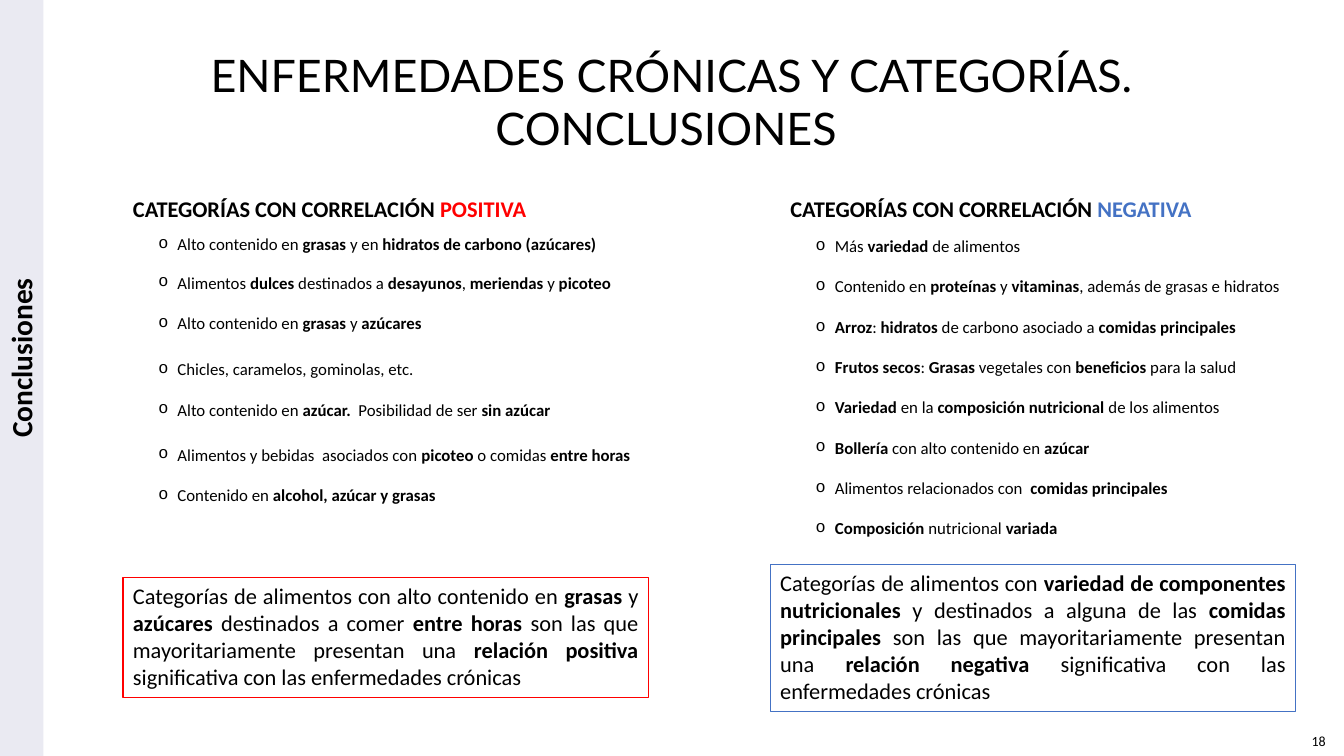
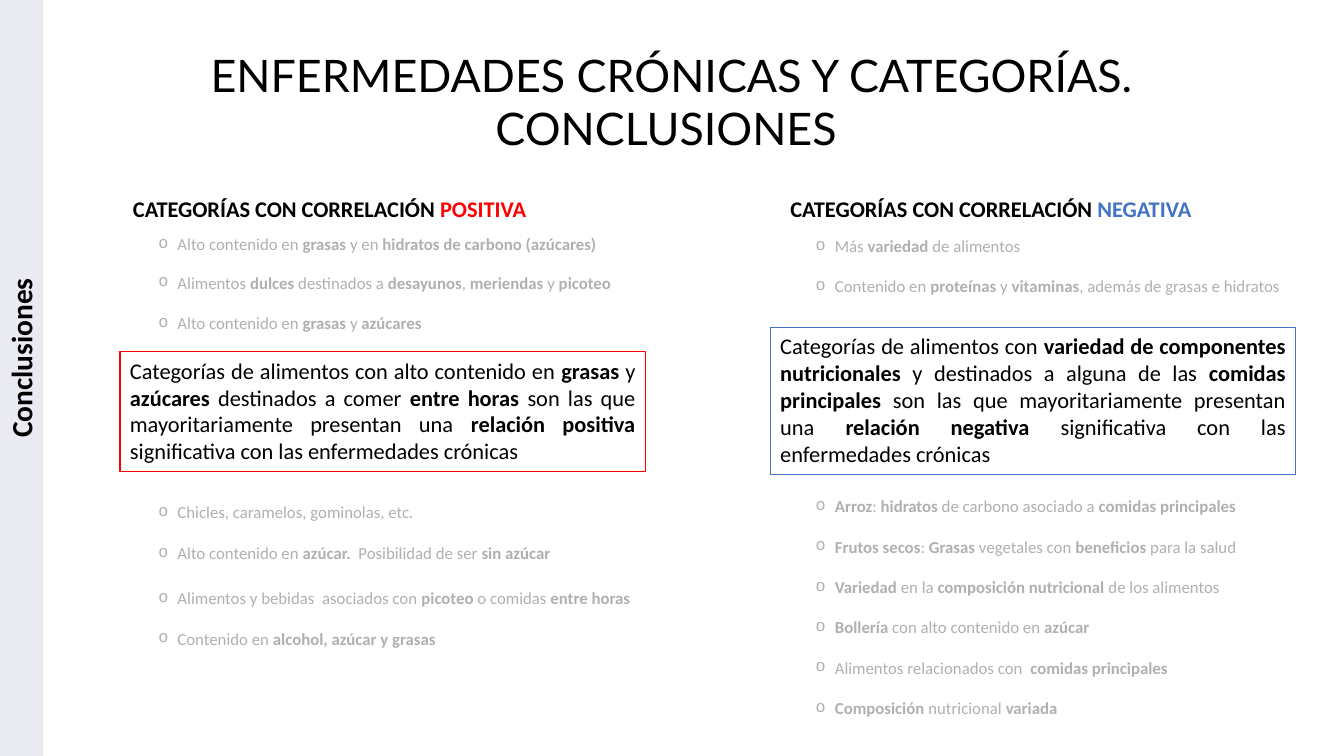
import dataclasses

import lxml.etree
import pptx
import pptx.dml.color
import pptx.enum.shapes
import pptx.enum.text
import pptx.oxml.ns
import pptx.util

Inches, Pt = pptx.util.Inches, pptx.util.Pt
Align = pptx.enum.text.PP_ALIGN
Anchor = pptx.enum.text.MSO_ANCHOR
qn = pptx.oxml.ns.qn


class Theme:
    font, title_font, bullet_font = "Calibri", "Lato", "Courier New"
    black, white, band = "000000", "FFFFFF", "EAEAF2"
    red, blue = "FF0000", "4472C4"
    title, side, heading, item, number = 32, 21, 16, 12, 10
    item_indent = 0.19
    item_line = 14.7
    veil_opacity = 69


@dataclasses.dataclass
class Column:
    """One side of the comparison; asterisks in its texts mark emphasis."""
    heading: str
    accent: str
    heading_left: float
    list_left: float
    list_width: float
    list_top: float
    lower_top: float  # second part of the list, when the summary divides it
    split: int  # first item of that second part
    items: list
    gaps: list  # points above each item
    summary: str
    summary_fill: str | None
    summary_line: float
    summary_height: float
    below: tuple
    inside: tuple


POSITIVE = Column(
    heading="CATEGORÍAS CON CORRELACIÓN *POSITIVA*",
    accent=Theme.red,
    heading_left=1.22,
    list_left=1.47,
    list_width=5.21,
    list_top=2.27,
    lower_top=4.93,
    split=3,
    items=[
        "Alto contenido en *grasas* y en *hidratos de carbono (azúcares)*",
        "Alimentos *dulces* destinados a *desayunos*, *meriendas* y *picoteo*",
        "Alto contenido en *grasas* y *azúcares*",
        "Chicles, caramelos, gominolas, etc.",
        "Alto contenido en *azúcar.*  Posibilidad de ser *sin azúcar*",
        "Alimentos y bebidas  asociados con *picoteo* o comidas *entre horas*",
        "Contenido en *alcohol, azúcar y grasas*",
    ],
    gaps=[0, 13, 14.6, 18.3, 14.6, 17.9, 14.6],
    summary="Categorías de alimentos con alto contenido en *grasas* y *azúcares* "
            "destinados a comer *entre horas *son las que mayoritariamente presentan "
            "una *relación positiva* significativa con las enfermedades crónicas",
    summary_fill=None,
    summary_line=0.75,
    summary_height=1.19,
    below=(1.22, 5.73),
    inside=(1.19, 3.49),
)

NEGATIVE = Column(
    heading="CATEGORÍAS CON CORRELACIÓN *NEGATIVA*",
    accent=Theme.blue,
    heading_left=7.74,
    list_left=7.99,
    list_width=5.01,
    list_top=2.29,
    lower_top=4.87,
    split=2,
    items=[
        "Más *variedad* de alimentos",
        "Contenido en *proteínas* y *vitaminas*, además de grasas e hidratos",
        "*Arroz*: *hidratos* de carbono asociado a *comidas principales*",
        "*Frutos secos*: *Grasas* vegetales con *beneficios* para la salud",
        "*Variedad* en la *composición nutricional* de los alimentos",
        "*Bollería* con alto contenido en *azúcar*",
        "Alimentos relacionados con  *comidas principales*",
        "*Composición* nutricional *variada*",
    ],
    gaps=[0] + [14.4] * 7,
    summary="Categorías de alimentos con *variedad de componentes nutricionales* y "
            "destinados a alguna de las *comidas principales *son las que "
            "mayoritariamente presentan una *relación negativa *significativa con "
            "las enfermedades crónicas",
    summary_fill=Theme.white,
    summary_line=1,
    summary_height=1.46,
    below=(7.64, 5.6),
    inside=(7.64, 3.25),
)


def rgb(color):
    return pptx.dml.color.RGBColor.from_string(color)


def style_run(r, size, color=Theme.black, bold=False, font=Theme.font):
    r.font.name, r.font.size, r.font.bold = font, Pt(size), bold
    r.font.color.rgb = rgb(color)


def add_marked_runs(p, text, size, bold=False, accent=Theme.black):
    """Split text at asterisks; every second piece is bold and in the accent."""
    for i, piece in enumerate(text.split("*")):
        if piece:
            marked = i % 2 == 1
            r = p.add_run()
            r.text = piece
            style_run(r, size, accent if marked else Theme.black, bold or marked)


def place(shape, left, top, width, height):
    shape.left, shape.top = Inches(left), Inches(top)
    shape.width, shape.height = Inches(width), Inches(height)


def prepare_frame(shape):
    tf = shape.text_frame
    tf.word_wrap = True
    tf.auto_size = pptx.enum.text.MSO_AUTO_SIZE.NONE
    tf.vertical_anchor = Anchor.TOP
    return tf


def add_label(s, box, align=Align.LEFT):
    """Add an empty text box and return it with its first paragraph."""
    shape = s.shapes.add_textbox(*map(Inches, box))
    p = prepare_frame(shape).paragraphs[0]
    p.alignment = align
    return shape, p


def add_rectangle(s, box, fill=None, line=None, line_width=1):
    shape = s.shapes.add_shape(
        pptx.enum.shapes.MSO_SHAPE.RECTANGLE, *map(Inches, box))
    shape.shadow.inherit = False
    if fill:
        shape.fill.solid()
        shape.fill.fore_color.rgb = rgb(fill)
    else:
        shape.fill.background()
    if line:
        shape.line.color.rgb = rgb(line)
        shape.line.width = Pt(line_width)
    else:
        shape.line.fill.background()
    return shape


def set_title(s, text):
    title = s.shapes.title
    place(title, 1.4, 0.42, 10.53, 1.18)
    tf = prepare_frame(title)
    tf.text = text
    for p in tf.paragraphs:
        p.alignment = Align.CENTER
        style_run(p.runs[0], Theme.title, font=Theme.title_font)


def add_side_band(s, text):
    add_rectangle(s, (0, 0, 0.43, 7.5), Theme.band)
    label, p = add_label(s, (-1.05, 3.29, 2.52, 0.46), Align.CENTER)
    label.rotation = 270
    p.text = text
    style_run(p.runs[0], Theme.side, bold=True)


def set_bullet(p):
    pPr = p._p.get_or_add_pPr()
    indent = Inches(Theme.item_indent)
    pPr.set("marL", str(indent))
    pPr.set("indent", str(-indent))
    lxml.etree.SubElement(pPr, qn("a:buFont")).set("typeface", Theme.bullet_font)
    lxml.etree.SubElement(pPr, qn("a:buChar")).set("char", "o")


def set_list_size(tf):
    """Give the list level the item size, so that bullets align with the text."""
    style = tf._txBody.find(qn("a:lstStyle"))
    level = lxml.etree.SubElement(style, qn("a:lvl1pPr"))
    size = lxml.etree.SubElement(level, qn("a:defRPr"))
    size.set("sz", str(Theme.item * 100))


def fill_list(body, column, top, start=0, stop=None):
    """Put a range of the column's items in a body just high enough for them."""
    items = column.items[start:stop]
    gaps = [0] + column.gaps[start:stop][1:]
    height = (sum(gaps) + len(items) * Theme.item_line) / 72 + 0.12
    place(body, column.list_left, top, column.list_width, round(height, 2))
    tf = prepare_frame(body)
    set_list_size(tf)
    for i, (item, gap) in enumerate(zip(items, gaps)):
        p = tf.paragraphs[0] if i == 0 else tf.add_paragraph()
        p.alignment = Align.LEFT
        p.space_before = Pt(gap)
        set_bullet(p)
        add_marked_runs(p, item, Theme.item)


def add_heading(s, column):
    _, p = add_label(s, (column.heading_left, 1.89, 4.39, 0.38))
    add_marked_runs(p, column.heading, Theme.heading, True, column.accent)


def add_veil(s):
    """Fade the lists with a translucent white rectangle."""
    veil = add_rectangle(s, (1.4, 2.29, 11.83, 4.98), Theme.white)
    color = veil.fill._xPr.find(qn("a:solidFill"))[0]
    alpha = lxml.etree.SubElement(color, qn("a:alpha"))
    alpha.set("val", str(Theme.veil_opacity * 1000))


def add_summary(s, column, position):
    box = add_rectangle(s, (*position, 5.21, column.summary_height),
                        column.summary_fill, column.accent, column.summary_line)
    p = prepare_frame(box).paragraphs[0]
    p.alignment = Align.JUSTIFY
    add_marked_runs(p, column.summary, Theme.heading)


def add_page_number(s, number):
    _, p = add_label(s, (12.91, 7.22, 0.41, 0.28))
    p.text = number
    style_run(p.runs[0], Theme.number)


def add_conclusions(prs, divided):
    """Add a slide; divided puts the summaries between two parts of faded lists."""
    layout = "Comparison" if divided else "Two Content"
    s = prs.slides.add_slide(prs.slide_layouts.get_by_name(layout))
    columns = (POSITIVE, NEGATIVE)
    set_title(s, "ENFERMEDADES CRÓNICAS Y CATEGORÍAS.\nCONCLUSIONES ")
    add_side_band(s, "Conclusiones ")
    for i, column in enumerate(columns):
        add_heading(s, column)
        if divided:
            upper, lower = (s.placeholders[2 * i + n] for n in (1, 2))
            fill_list(upper, column, column.list_top, stop=column.split)
            fill_list(lower, column, column.lower_top, start=column.split)
        else:
            fill_list(s.placeholders[i + 1], column, column.list_top)
    if divided:
        add_veil(s)
    for column in columns:
        add_summary(s, column, column.inside if divided else column.below)
    return s


def main():
    prs = pptx.Presentation()
    prs.slide_width, prs.slide_height = Inches(13.33), Inches(7.5)
    s = add_conclusions(prs, divided=False)
    add_page_number(s, "18")
    add_conclusions(prs, divided=True)
    prs.save("out.pptx")


if __name__ == "__main__":
    main()
